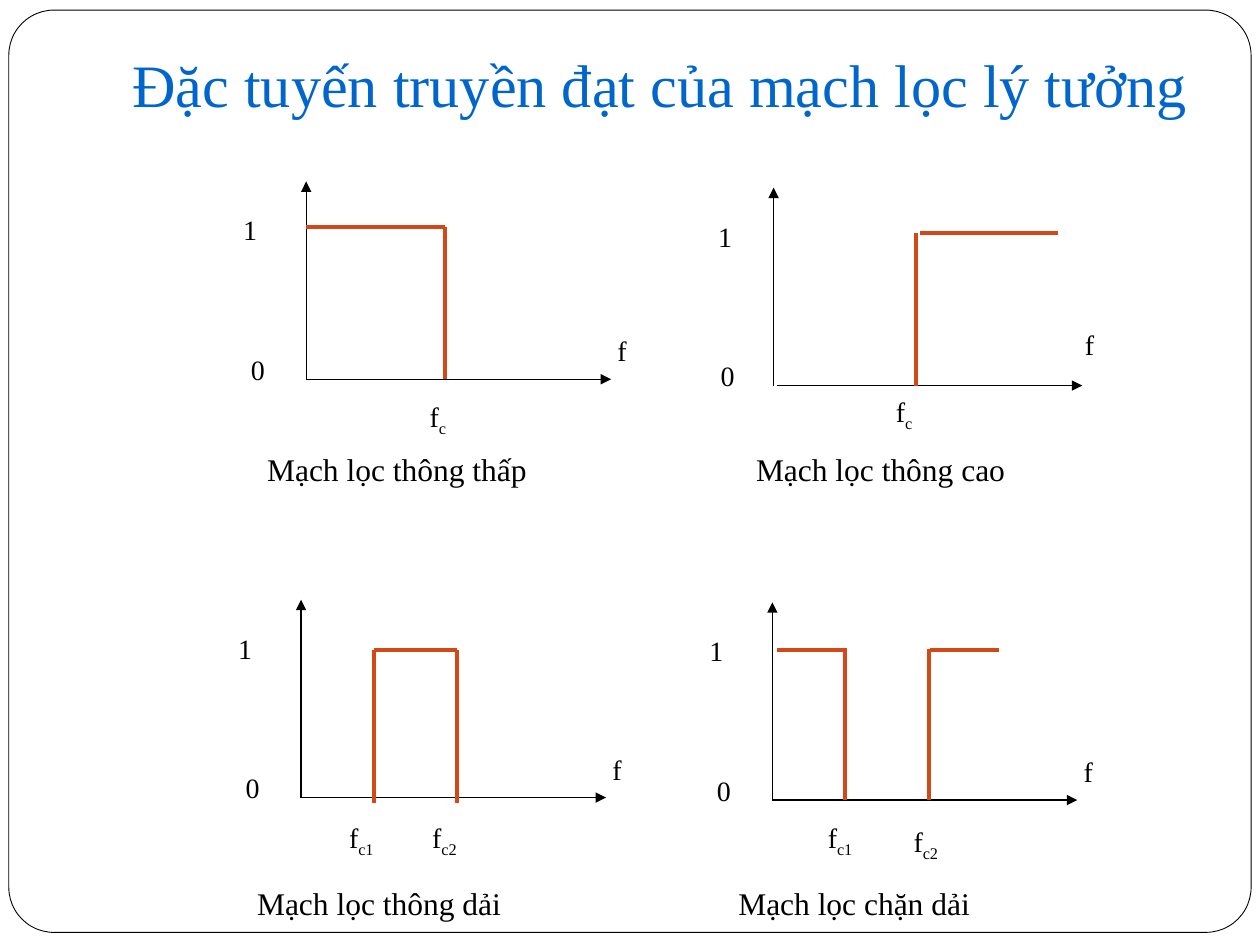
from dataclasses import dataclass
from typing import NamedTuple

from lxml import etree
from pptx import Presentation
from pptx.dml.color import RGBColor
from pptx.enum.shapes import MSO_CONNECTOR, MSO_SHAPE
from pptx.enum.text import MSO_ANCHOR, MSO_AUTO_SIZE, PP_ALIGN
from pptx.oxml.ns import qn
from pptx.util import Inches, Pt

LINE = MSO_CONNECTOR.STRAIGHT
ROUND = MSO_SHAPE.ROUNDED_RECTANGLE
TOP, BOTTOM = MSO_ANCHOR.TOP, MSO_ANCHOR.BOTTOM
FIXED = MSO_AUTO_SIZE.NONE
LEFT = PP_ALIGN.LEFT

COLORS = {"ink": "000000", "title": "0066CC", "curve": "D34817", "paper": "FFFFFF"}
FONT = "Times New Roman"
PAD = Inches(0.05)
FRAME = {
    "word_wrap": True, "auto_size": FIXED, "vertical_anchor": TOP,
    "margin_left": PAD, "margin_right": PAD, "margin_top": PAD, "margin_bottom": PAD,
}
RISE, REACH = 1.57, 2.42


class Seg(NamedTuple):
    x1: float
    y1: float
    x2: float
    y2: float


class Label(NamedTuple):
    text: str
    x: float
    y: float
    w: float
    h: float = 0.52
    sub: str = ""
    size: float = 16


@dataclass
class Plot:
    x: float
    y: float
    curve: list[Seg]
    cuts: list[Label]
    name: Label
    gap: float = 0
    one: float = -0.55
    zero: float = -0.49
    drop: float = -0.49


def color(key: str) -> RGBColor:
    return RGBColor.from_string(COLORS[key])


def apply(item: object, values: dict) -> None:
    for key, value in values.items():
        setattr(item, key, value)


def style(run, size: float, key: str) -> None:
    apply(run.font, {"name": FONT, "size": Pt(size), "bold": False})
    run.font.color.rgb = color(key)


def write(slide, label: Label) -> None:
    place = map(Inches, (label.x, label.y, label.w, label.h))
    frame = slide.shapes.add_textbox(*place).text_frame
    apply(frame, FRAME)
    para = frame.paragraphs[0]
    apply(para, {"alignment": LEFT, "line_spacing": 1.3})
    for text, base in ((label.text, 0), (label.sub, -25000)):
        if text:
            run = para.add_run()
            run.text = text
            style(run, label.size, "ink")
            if base:
                run.font._element.set("baseline", str(base))


def stroke(slide, seg: Seg, key: str, width: float, end: str = "") -> None:
    line = slide.shapes.add_connector(LINE, *map(Inches, seg))
    line.line.color.rgb = color(key)
    line.line.width = Pt(width)
    props = line._element.spPr
    if end:
        etree.SubElement(props.find(qn("a:ln")), qn(end)).set("type", "triangle")
    etree.SubElement(props, qn("a:effectLst"))


def draw(slide, plot: Plot) -> None:
    x, y = plot.x, plot.y
    stroke(slide, Seg(x, y - RISE, x, y), "ink", 0.75, "a:headEnd")
    start = x + plot.gap
    stroke(slide, Seg(start, y, start + REACH, y), "ink", 0.75, "a:tailEnd")
    for seg in plot.curve:
        stroke(slide, seg, "curve", 2.25)
    marks = [
        Label("1", x + plot.one, y - 1.45, 0.47, 0.47),
        Label("0", x + plot.zero, y - 0.34, 0.31, 0.47),
        Label("f", x + REACH, y + plot.drop, 0.26, 0.47),
    ]
    for label in marks + plot.cuts + [plot.name]:
        write(slide, label)


def cut(sub: str, x: float, y: float, w: float = 0.45) -> Label:
    return Label("f", x, y, w, sub=sub)


def name(text: str, x: float, y: float, w: float) -> Label:
    return Label(text, x, y, w, size=18)


PLOTS = [
    Plot(2.43, 3.01,
         [Seg(2.43, 1.8, 3.53, 1.8), Seg(3.53, 1.8, 3.53, 3.01)],
         [cut("c", 3.36, 3.03, 0.35)],
         name("Mạch lọc thông thấp", 2.07, 3.43, 3.53)),
    Plot(6.14, 3.06,
         [Seg(7.3, 1.85, 8.4, 1.85), Seg(7.27, 1.85, 7.27, 3.06)],
         [cut("c", 7.06, 2.99, 0.35)],
         name("Mạch lọc thông cao", 5.95, 3.43, 3.08),
         gap=0.03, one=-0.49, zero=-0.47, drop=-0.59),
    Plot(2.39, 6.33,
         [Seg(2.97, 5.16, 3.63, 5.16), Seg(3.63, 5.16, 3.63, 6.37),
          Seg(2.97, 5.16, 2.97, 6.37)],
         [cut("c1", 2.72, 6.37), cut("c2", 3.38, 6.37)],
         name("Mạch lọc thông dải", 1.99, 6.88, 3.08)),
    Plot(6.13, 6.35,
         [Seg(7.37, 5.15, 7.37, 6.35), Seg(6.17, 5.16, 6.72, 5.16),
          Seg(6.71, 5.15, 6.71, 6.35), Seg(7.38, 5.16, 7.93, 5.16)],
         [cut("c1", 6.52, 6.37), cut("c2", 7.2, 6.4)],
         name("Mạch lọc chặn dải", 5.81, 6.88, 3)),
]


def border(slide) -> None:
    shape = slide.shapes.add_shape(ROUND, *map(Inches, (0.07, 0.08, 9.86, 7.32)))
    shape.adjustments[0] = 0.049
    shape.shadow.inherit = False
    shape.fill.solid()
    shape.fill.fore_color.rgb = color("paper")
    shape.line.color.rgb = color("ink")
    shape.line.width = Pt(0.5)
    slide.shapes._spTree.insert(2, shape._element)


def head(slide, text: str) -> None:
    title = slide.shapes.title
    apply(title, {"left": Inches(1), "top": Inches(0.3),
                  "width": Inches(8.5), "height": Inches(0.7)})
    apply(title.text_frame, FRAME | {"vertical_anchor": BOTTOM})
    para = title.text_frame.paragraphs[0]
    para.alignment = LEFT
    run = para.add_run()
    run.text = text
    style(run, 34.4, "title")


def main() -> None:
    deck = Presentation()
    apply(deck, {"slide_width": Inches(10), "slide_height": Inches(7.5)})
    slide = deck.slides.add_slide(deck.slide_layouts[5])
    border(slide)
    head(slide, "Đặc tuyến truyền đạt của mạch lọc lý tưởng")
    for plot in PLOTS:
        draw(slide, plot)
    deck.save("out.pptx")


if __name__ == "__main__":
    main()
